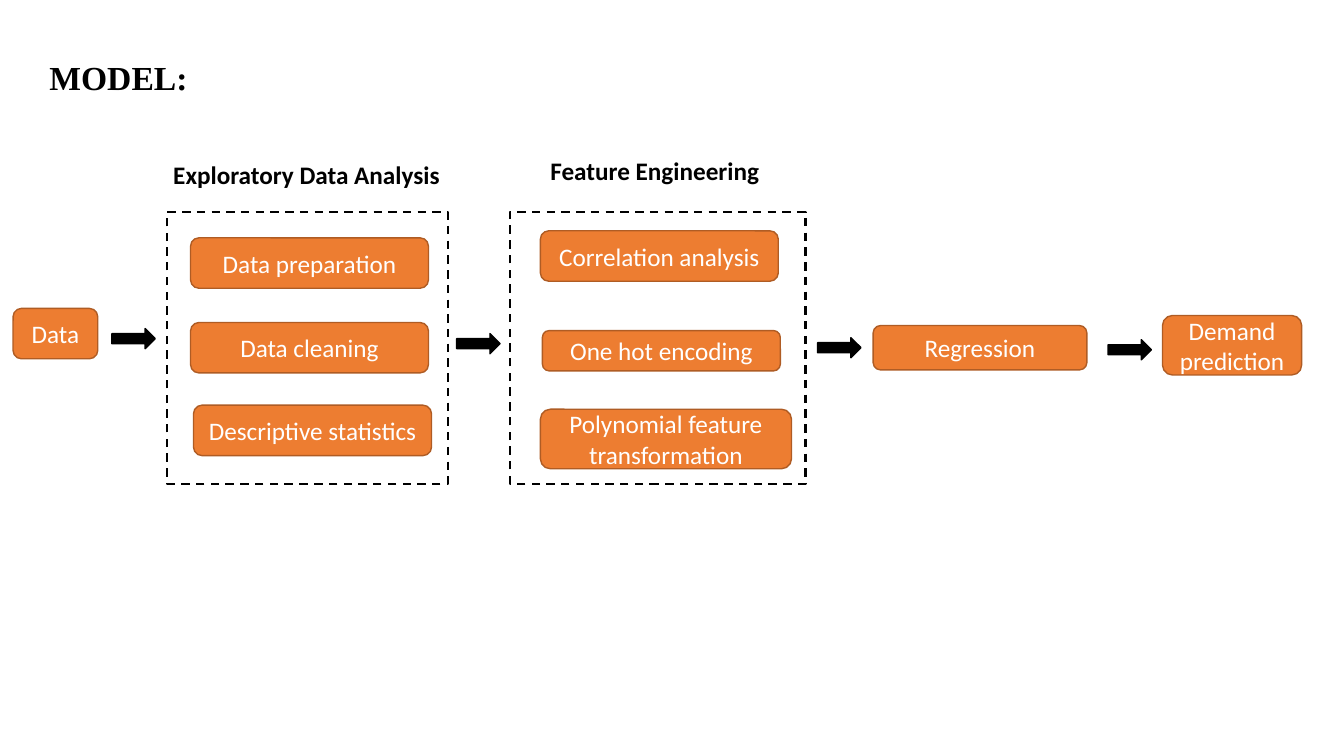
from pptx import Presentation
from pptx.dml.color import RGBColor
from pptx.enum import dml, shapes, text
from pptx.util import Inches, Pt

ORANGE, RUST, BLACK, WHITE = "ED7D31", "AF5C24", "000000", "FFFFFF"
STEP_W, STEP_H = 2.36, 0.5
ARROW_W, ARROW_H = 0.43, 0.2
FRAME_TOP, FRAME_H = 2.1, 2.7

TITLE = ("MODEL:", 0.39, 0.51, 2.86, 0.5)
# Each group: heading and its box, frame left and width, steps
GROUPS = [
    (("Exploratory Data Analysis", 1.62, 1.53, 2.86, 0.4), (1.66, 2.78), [
        ("Data preparation", 1.89, 2.36, STEP_W, STEP_H),
        ("Data cleaning", 1.89, 3.2, STEP_W, STEP_H),
        ("Descriptive statistics", 1.92, 4.02, STEP_W, STEP_H),
    ]),
    (("Feature Engineering", 5.36, 1.49, 2.32, 0.4), (5.06, 2.93), [
        ("Correlation analysis", 5.36, 2.29, STEP_W, STEP_H),
        ("One hot encoding", 5.38, 3.28, STEP_W, 0.4),
        ("Polynomial feature transformation", 5.36, 4.06, 2.49, 0.59),
    ]),
]
SINGLE_STEPS = [
    ("Data", 0.13, 3.06, 0.84, STEP_H),
    ("Regression", 8.66, 3.23, 2.12, 0.44),
    ("Demand prediction", 11.53, 3.13, 1.38, 0.59),
]
ARROWS = [(1.11, 3.26), (4.53, 3.31), (8.11, 3.35), (10.99, 3.37)]


def rgb(value):
    return RGBColor.from_string(value)


def write(sp, words, color, size=18, font="Calibri", bold=False,
          align=text.PP_ALIGN.LEFT, anchor=text.MSO_ANCHOR.TOP):
    tf = sp.text_frame
    tf.word_wrap = True
    tf.auto_size = text.MSO_AUTO_SIZE.NONE
    tf.vertical_anchor = anchor
    tf.margin_left = tf.margin_right = Inches(0.1)
    tf.margin_top = tf.margin_bottom = Inches(0.05)
    p = tf.paragraphs[0]
    p.alignment = align
    p.line_spacing = 1.0
    p.space_before = Pt(0)
    r = p.add_run()
    r.text = words
    r.font.name, r.font.size, r.font.bold = font, Pt(size), bold
    r.font.color.rgb = rgb(color)


def add_shape(slide, kind, box, fill, line, width=1):
    sp = slide.shapes.add_shape(kind, *map(Inches, box))
    sp.shadow.inherit = False
    if fill:
        sp.fill.solid()
        sp.fill.fore_color.rgb = rgb(fill)
    else:
        sp.fill.background()
    sp.line.color.rgb = rgb(line)
    sp.line.width = Pt(width)
    return sp


def add_step(slide, words, *box):
    sp = add_shape(slide, shapes.MSO_SHAPE.ROUNDED_RECTANGLE, box, ORANGE, RUST)
    write(sp, words, WHITE, align=text.PP_ALIGN.CENTER,
          anchor=text.MSO_ANCHOR.MIDDLE)


def add_group(slide, heading, frame, steps):
    words, *box = heading
    write(slide.shapes.add_textbox(*map(Inches, box)), words, BLACK, bold=True)
    left, width = frame
    sp = add_shape(slide, shapes.MSO_SHAPE.RECTANGLE,
                   (left, FRAME_TOP, width, FRAME_H), None, BLACK, 1.5)
    sp.line.dash_style = dml.MSO_LINE.DASH
    for step in steps:
        add_step(slide, *step)


def main():
    prs = Presentation()
    prs.slide_width, prs.slide_height = Inches(13.33), Inches(7.5)
    slide = prs.slides.add_slide(prs.slide_layouts[5])

    words, *box = TITLE
    title = slide.shapes.title
    title.left, title.top, title.width, title.height = map(Inches, box)
    write(title, words, BLACK, size=24, font="Times New Roman", bold=True)

    for group in GROUPS:
        add_group(slide, *group)
    for step in SINGLE_STEPS:
        add_step(slide, *step)
    for left, top in ARROWS:
        add_shape(slide, shapes.MSO_SHAPE.RIGHT_ARROW,
                  (left, top, ARROW_W, ARROW_H), BLACK, BLACK)

    prs.save("out.pptx")


if __name__ == "__main__":
    main()
